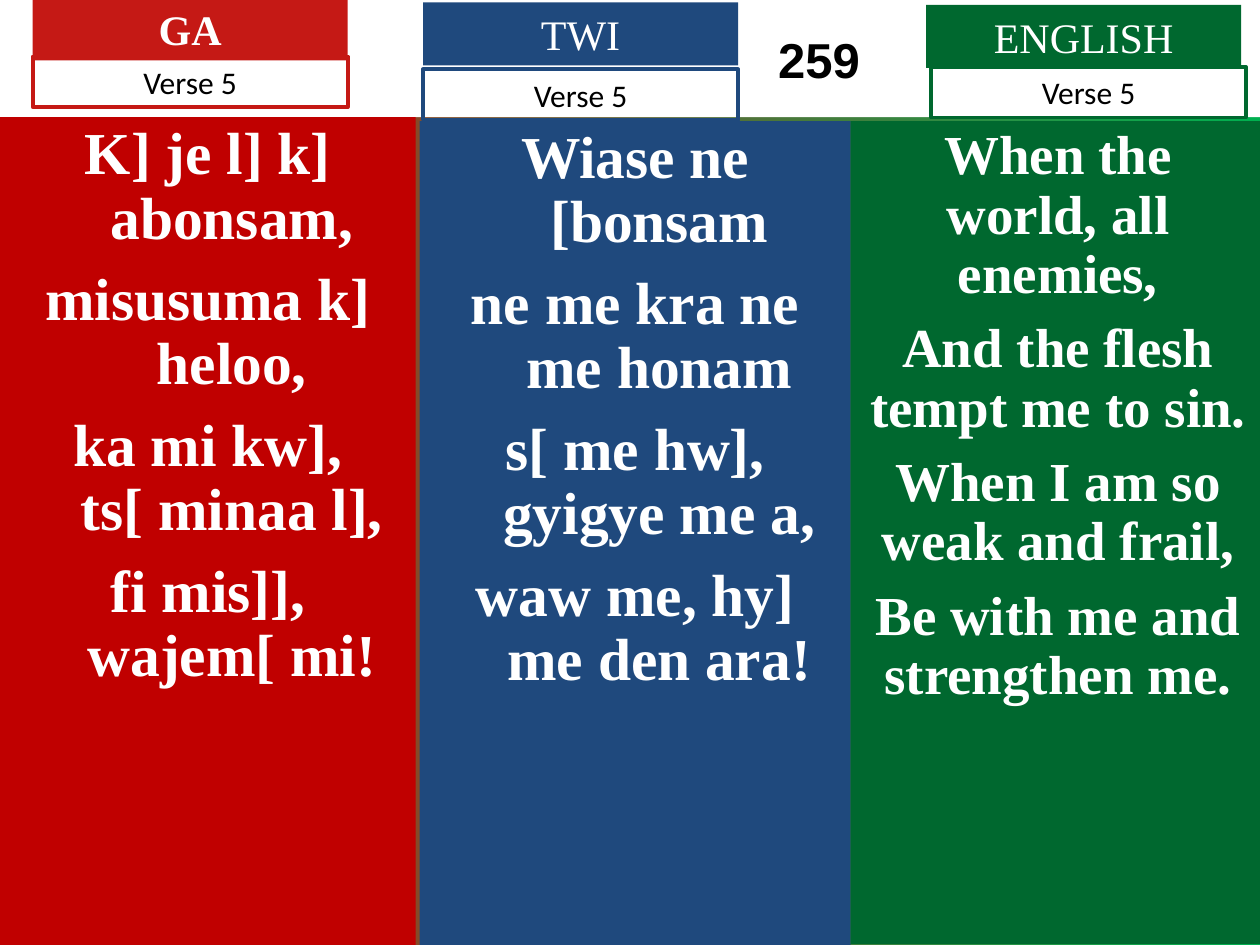
from pptx import Presentation
from pptx.dml.color import RGBColor
from pptx.enum.text import MSO_ANCHOR as Anchor, MSO_AUTO_SIZE as AutoSize, PP_ALIGN as Align
from pptx.oxml.xmlchemy import OxmlElement
from pptx.util import Cm, Pt

WHITE, BLACK = "FFFFFF", "000000"
RED, BLUE, GREEN = "C51915", "1F497D", "00682F"
SERIF = "Times New Roman"
LABEL_WIDTH, HEADER_HEIGHT, VERSE_HEIGHT = 6.35, 1.27, 1.02

GA_LINES = ["K] je l] k] abonsam,", "misusuma k] heloo,",
            "ka mi kw], ts[ minaa l],", "fi mis]], wajem[ mi!"]
TWI_LINES = ["Wiase ne [bonsam", "ne me kra ne me honam",
             "s[ me hw], gyigye me a,", "waw me, hy] me den ara!"]
ENGLISH_LINES = ["When the world, all enemies,", "And the flesh tempt me to sin.",
                 "When I am so weak and frail,", "Be with me and strengthen me."]


def rgb(value):
    """Turn a hex string into a colour."""
    return RGBColor.from_string(value)


def fill_solid(part, color):
    """Give a shape one plain fill."""
    part.fill.solid()
    part.fill.fore_color.rgb = rgb(color)


def place(part, left, top, width, height):
    """Move and size a shape, in centimetres."""
    part.left, part.top = Cm(left), Cm(top)
    part.width, part.height = Cm(width), Cm(height)


def style(paragraph, font_name, size, color, bold=False):
    """Centre a paragraph and format its runs."""
    paragraph.alignment = Align.CENTER
    for run in paragraph.runs:
        run.font.name, run.font.size, run.font.bold = font_name, Pt(size), bold
        run.font.color.rgb = rgb(color)


def set_indent(paragraph, left, first=0):
    """Set the left margin and first-line indent in centimetres."""
    properties = paragraph._p.get_or_add_pPr()
    properties.set("marL", str(Cm(left)))
    properties.set("indent", str(Cm(first)))


def fill_background(slide):
    """Paint the red to green background."""
    fill = slide.background.fill
    fill.gradient()
    fill.gradient_angle = 0
    for stop, color in zip(fill.gradient_stops, (RED, "00B050")):
        stop.color.rgb = rgb(color)


def add_hymn_number(slide, number):
    """Write the hymn number in the title band, right of the middle."""
    title = slide.shapes.title
    place(title, 0, 0, 25.4, 2.36)
    fill_solid(title, WHITE)
    frame = title.text_frame
    frame.text = number
    frame.auto_size, frame.vertical_anchor = AutoSize.NONE, Anchor.MIDDLE
    set_indent(frame.paragraphs[0], 7.62)
    style(frame.paragraphs[0], "Arial", 28, BLACK, True)


def add_lyrics(column, lines, box, color, size, gap, hanging):
    """Fill one language column with its verse."""
    place(column, *box)
    fill_solid(column, color)
    frame = column.text_frame
    frame.text = "\n".join(lines)
    frame.auto_size, frame.vertical_anchor = AutoSize.NONE, Anchor.TOP
    for index, paragraph in enumerate(frame.paragraphs):
        set_indent(paragraph, hanging, -hanging)
        paragraph.line_spacing = 0.9
        paragraph.space_before = Pt(gap if index else 0)
        paragraph._p.get_or_add_pPr().append(OxmlElement("a:buNone"))
        style(paragraph, SERIF, size, WHITE, True)


def add_label(slide, text, box, font_name, size, color, bold=False):
    """Add a one-line label and return it."""
    label = slide.shapes.add_textbox(*map(Cm, box))
    frame = label.text_frame
    frame.word_wrap = True
    frame.text = text
    style(frame.paragraphs[0], font_name, size, color, bold)
    return label


def add_heading(slide, language, left, top, verse_left, verse_top, color, bold):
    """Add a language name and the outlined verse label under it."""
    header = add_label(slide, language, (left, top, LABEL_WIDTH, HEADER_HEIGHT),
                       SERIF, 24, WHITE, bold)
    fill_solid(header, color)
    verse = add_label(slide, "Verse 5", (verse_left, verse_top, LABEL_WIDTH, VERSE_HEIGHT),
                      "Calibri", 18, BLACK)
    verse.line.color.rgb = rgb(color)
    verse.line.width = Pt(2.25)


def main():
    """Build the hymn slide."""
    deck = Presentation()
    deck.slide_width, deck.slide_height = Cm(25.4), Cm(19.05)
    slide = deck.slides.add_slide(deck.slide_layouts.get_by_name("Comparison"))
    fill_background(slide)
    add_hymn_number(slide, "259")

    ga, twi, english, spare = list(slide.placeholders)[1:]
    spare.element.getparent().remove(spare.element)
    add_lyrics(ga, GA_LINES, (0, 2.36, 8.38, 16.69), "C00000", 34, 10, 0.97)
    add_lyrics(twi, TWI_LINES, (8.46, 2.44, 8.69, 16.61), BLUE, 34, 10, 0.97)
    add_lyrics(english, ENGLISH_LINES, (17.15, 2.44, 8.36, 16.59), GREEN, 31.4, 8.5, 0)

    add_heading(slide, "GA", 0.66, -0.05, 0.66, 1.14, RED, True)
    add_heading(slide, "TWI", 8.53, 0.05, 8.53, 1.4, BLUE, False)
    add_heading(slide, "ENGLISH", 18.67, 0.1, 18.77, 1.35, GREEN, False)
    deck.save("out.pptx")


if __name__ == "__main__":
    main()
